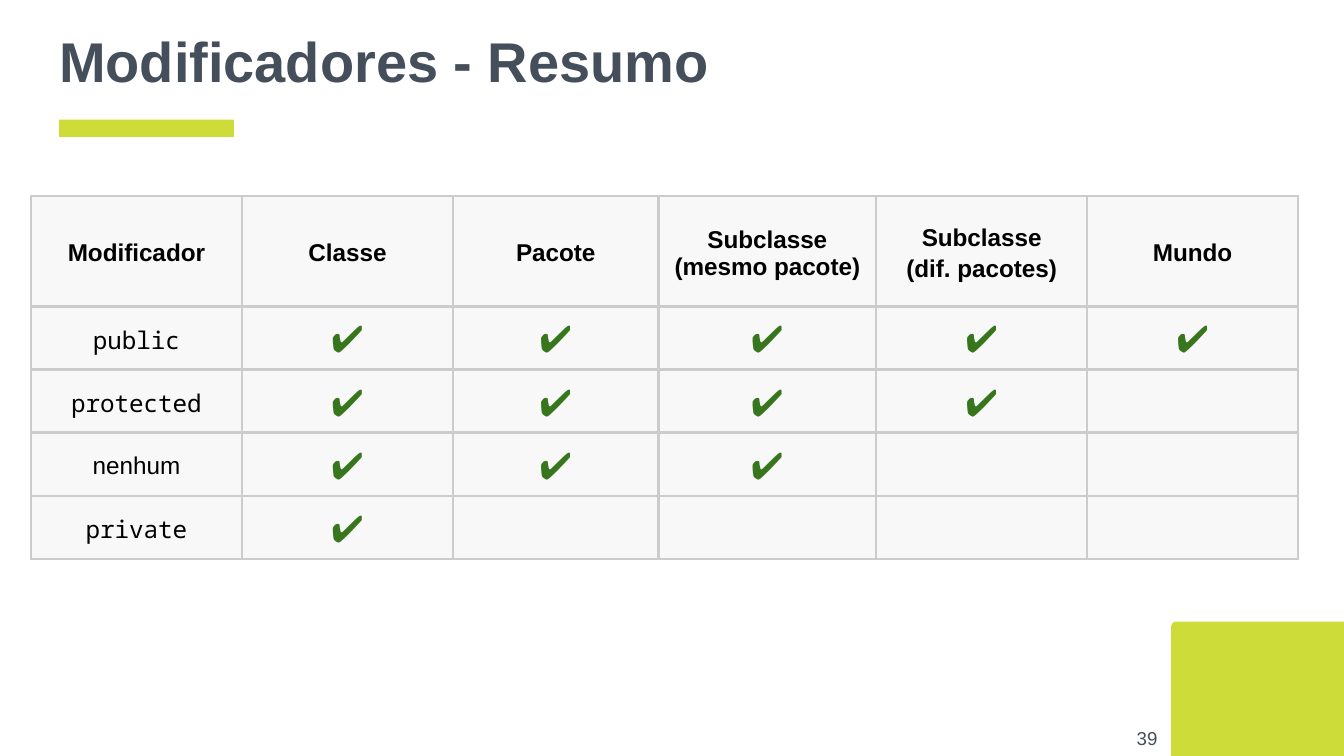
from dataclasses import dataclass

from lxml.etree import SubElement
from pptx import Presentation
from pptx.dml.color import RGBColor as RGB
from pptx.enum.shapes import MSO_SHAPE as SHAPE
from pptx.enum.text import MSO_ANCHOR as ANCHOR, PP_ALIGN as ALIGN
from pptx.oxml.ns import qn
from pptx.util import Inches, Pt


@dataclass(frozen=True)
class Theme:
    lime: str = "CDDC39"
    slate: str = "454F5B"
    black: str = "000000"
    green: str = "38761D"
    cell: str = "F8F8F8"
    border: str = "CCCCCC"
    sans: str = "Arial"
    mono: str = "Noto Sans Mono"
    title: int = 30
    check: int = 20
    body: int = 13
    number: int = 10


T = Theme()


def add_run(p, text, size, color, bold=False, font=T.sans):
    r = p.add_run()
    r.text = text
    r.font.size = Pt(size)
    r.font.bold = bold
    r.font.name = font
    r.font.color.rgb = RGB.from_string(color)


def add_block(kind, x, y, w, h):
    sp = s.shapes.add_shape(kind, Inches(x), Inches(y), Inches(w), Inches(h))
    sp.shadow.inherit = False
    sp.fill.solid()
    sp.fill.fore_color.rgb = RGB.from_string(T.lime)
    sp.line.fill.background()
    return sp


# Widescreen slide, 16:9
prs = Presentation()
prs.slide_width, prs.slide_height = Inches(10), Inches(10 * 9 / 16)
s = prs.slides.add_slide(prs.slide_layouts[5])

# Corner block and title underline
corner = add_block(SHAPE.ROUND_1_RECTANGLE, 8.86, 4.48, 1.01, 1.3)
corner.adjustments[0] = 0.034
corner.rotation = 270
add_block(SHAPE.RECTANGLE, 0.44, 0.89, 1.3, 0.13)

# Title and slide number
title = s.shapes.title
title.left, title.top = Inches(0.34), Inches(0)
title.width, title.height = Inches(9.32), Inches(0.89)
number = s.shapes.add_textbox(Inches(8.11), Inches(5.28), Inches(0.6), Inches(0.43))
for sp, text, size, bold, align in (
    (title, "Modificadores - Resumo", T.title, True, ALIGN.LEFT),
    (number, "39", T.number, False, ALIGN.RIGHT),
):
    tf = sp.text_frame
    tf.word_wrap = True
    tf.vertical_anchor = ANCHOR.MIDDLE
    tf.margin_left = tf.margin_right = tf.margin_top = tf.margin_bottom = Inches(0.1)
    p = tf.paragraphs[0]
    p.alignment = align
    add_run(p, text, size, T.slate, bold)

# Table grid
headers = ["Modificador", "Classe", "Pacote", "Subclasse\n(mesmo pacote)",
           "Subclasse", "Mundo"]
modifiers = [("public", T.mono, 5), ("protected", T.mono, 4),
             ("nenhum", T.sans, 3), ("private", T.mono, 1)]
col_widths = [1.57, 1.57, 1.53, 1.62, 1.57, 1.57]
row_heights = [0.82] + [0.47] * len(modifiers)
table = s.shapes.add_table(
    len(row_heights), len(col_widths), Inches(0.23), Inches(1.46),
    Inches(sum(col_widths)), Inches(sum(row_heights))).table
for col, width in zip(table.columns, col_widths):
    col.width = Inches(width)
for row, height in zip(table.rows, row_heights):
    row.height = Inches(height)

# Cell borders, fill and margins
for cell in table.iter_cells():
    tc_pr = cell._tc.get_or_add_tcPr()
    for side in ("lnL", "lnR", "lnT", "lnB"):
        ln = SubElement(tc_pr, qn(f"a:{side}"), w=str(Pt(1.5)))
        SubElement(SubElement(ln, qn("a:solidFill")), qn("a:srgbClr"), val=T.border)
    cell.fill.solid()
    cell.fill.fore_color.rgb = RGB.from_string(T.cell)
    cell.vertical_anchor = ANCHOR.MIDDLE
    cell.margin_left = cell.margin_right = Inches(0.1)
    cell.margin_top, cell.margin_bottom = Inches(0.06), Inches(0.03)
    p = cell.text_frame.paragraphs[0]
    p.alignment = ALIGN.CENTER
    p.space_after = Pt(2)

# Header row
for c, header in enumerate(headers):
    p = table.cell(0, c).text_frame.paragraphs[0]
    for i, line in enumerate(header.split("\n")):
        if i:
            p.add_line_break()
        add_run(p, line, T.body, T.black, True)

# The second subclass header is two spaced paragraphs
tf = table.cell(0, 4).text_frame
tf.paragraphs[0].space_after = Pt(0)
p = tf.add_paragraph()
p.alignment = ALIGN.CENTER
p.space_before = p.space_after = Pt(2)
add_run(p, "(dif. pacotes)", T.body, T.black, True)

# Modifier rows: a name, then a check for each level of access
for i, (name, font, levels) in enumerate(modifiers, 1):
    add_run(table.cell(i, 0).text_frame.paragraphs[0], name, T.body, T.black, font=font)
    for c in range(1, levels + 1):
        add_run(table.cell(i, c).text_frame.paragraphs[0], "✔", T.check, T.green, True)

prs.save("out.pptx")
